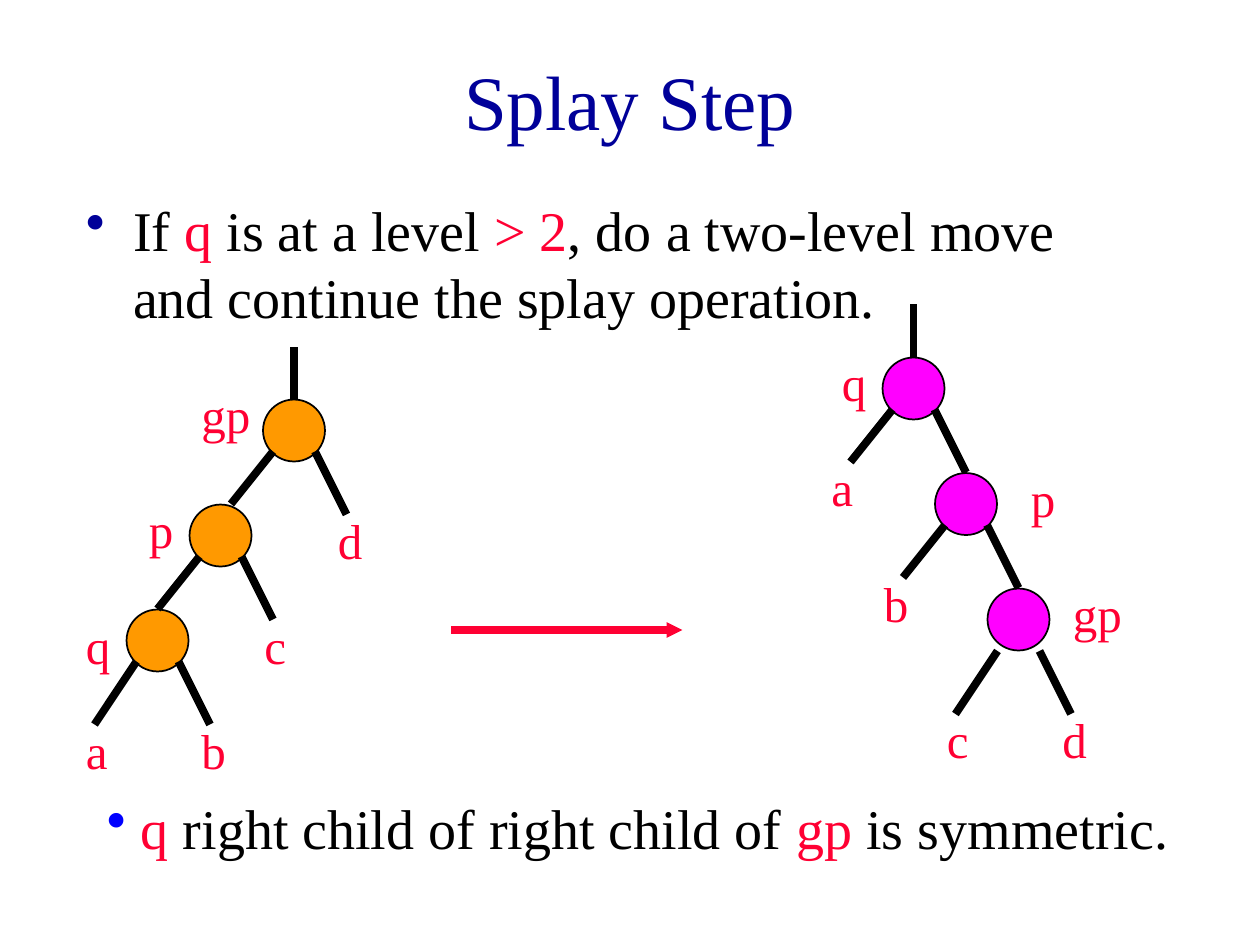
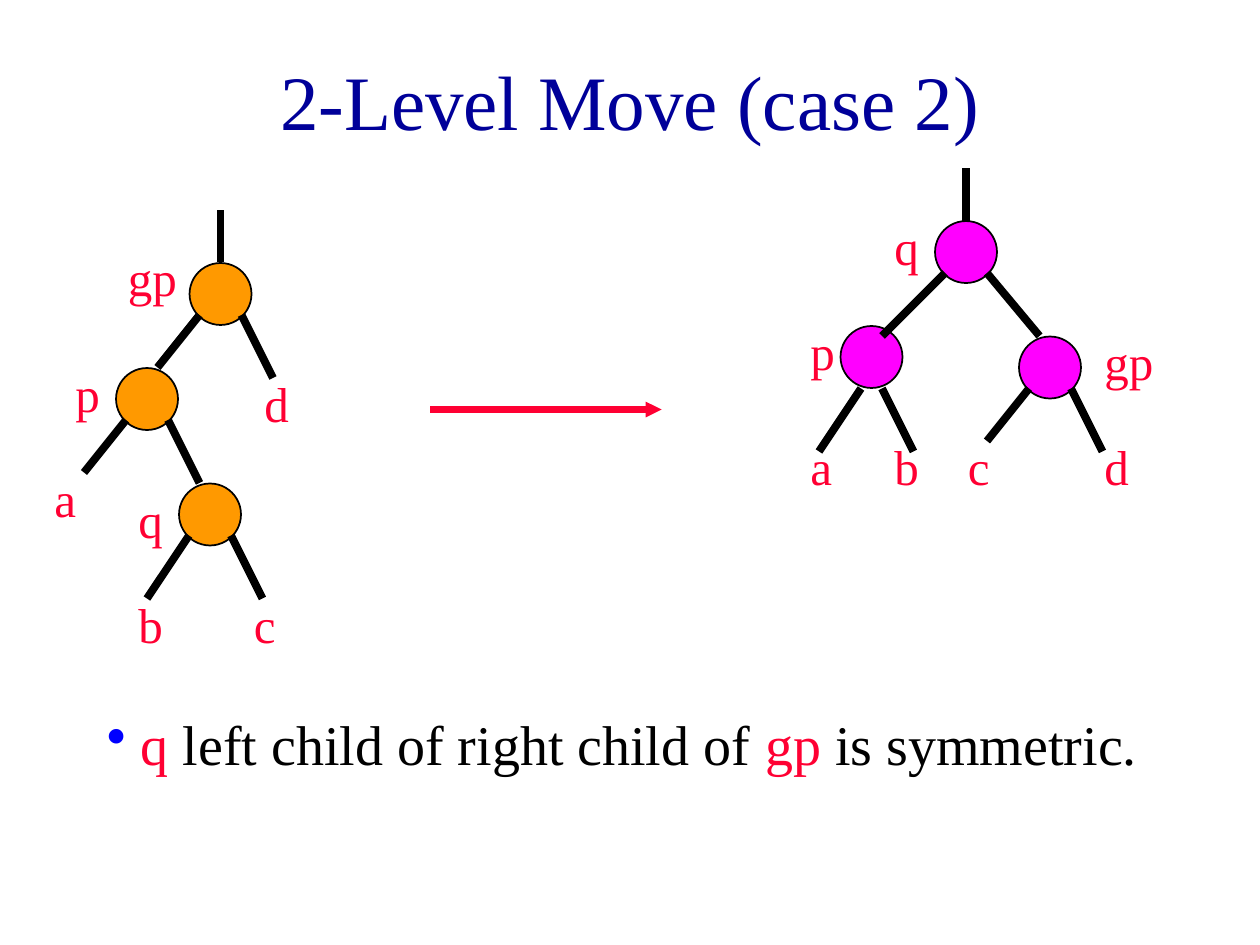
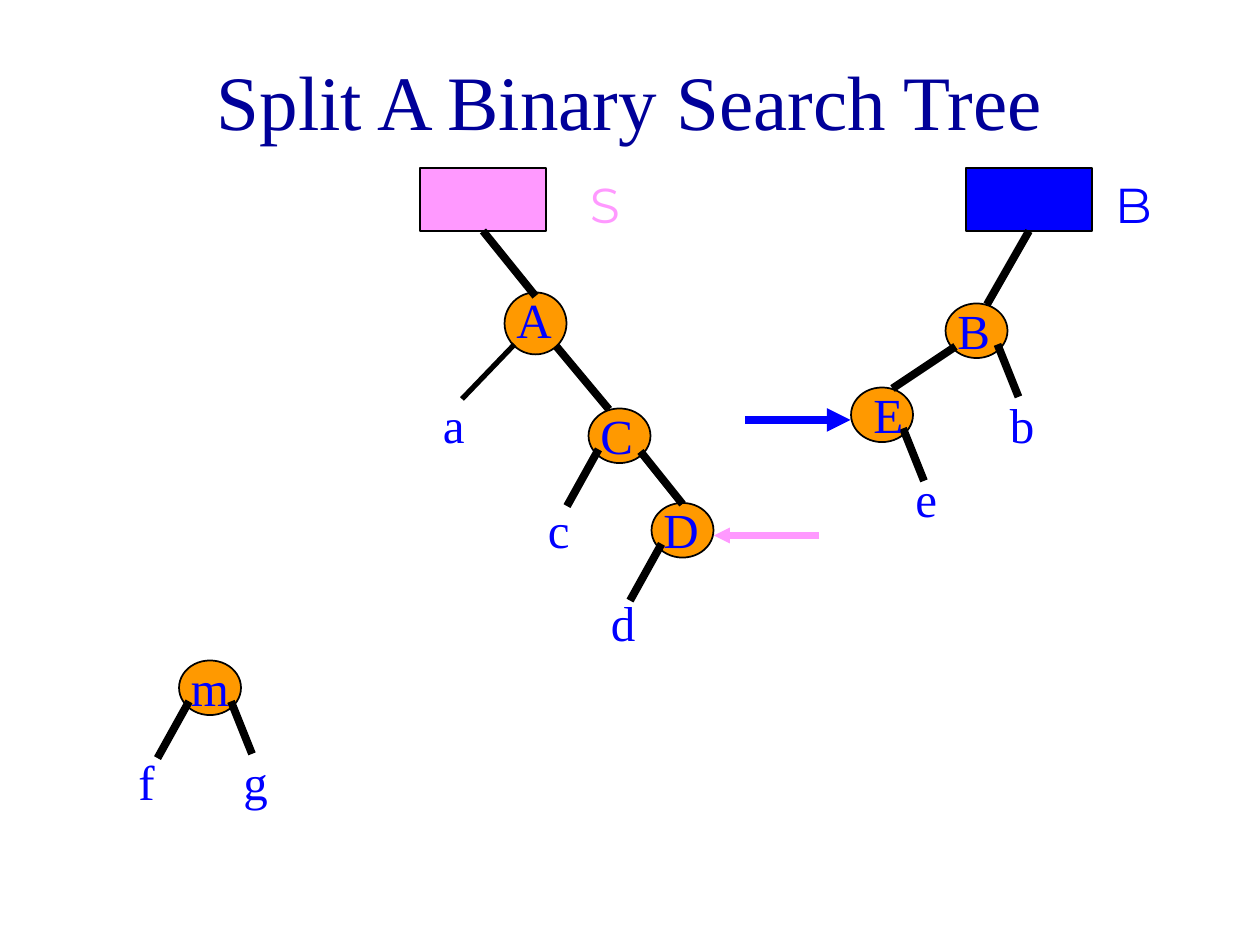
import dataclasses

import lxml.etree
import pptx
import pptx.dml.color
import pptx.enum.shapes
import pptx.enum.text
import pptx.oxml.ns
import pptx.util


@dataclasses.dataclass(frozen=True)
class Theme:
    navy: str = "000099"
    blue: str = "0000FF"
    red: str = "FF0033"
    pink: str = "FF99FF"
    orange: str = "FF9900"
    magenta: str = "FF00FF"
    black: str = "000000"
    white: str = "FFFFFF"
    serif: str = "Times New Roman"
    sans: str = "Montserrat"
    title_size: int = 44
    body_size: int = 32
    label_size: int = 28
    edge_width: float = 4.5
    thin_edge_width: float = 3
    outline_width: float = 1


THEME = Theme()
STEPS_PER_CM = 12 / 2.54
NODE_SIZE = 5.9
FLAT_NODE_HEIGHT = 5.2

LEFT = (-2, 2, -6, 7)
LEFT_LEAF = (-2, 2, -6, 8)
RIGHT = (2, 2, 5, 8)
LEFT_LOW = (-2, 3, -6, 9)
RIGHT_LOW = (2, 3, 5, 9)
FLAT_LEFT = (-2, 1.3, -5, 6.7)
FLAT_RIGHT = (2, 1.3, 4, 6.3)


def grid(steps):
    return pptx.util.Cm(steps / STEPS_PER_CM)


def rgb(color):
    return pptx.dml.color.RGBColor.from_string(color)


def add_xml(parent, tag, **attributes):
    return lxml.etree.SubElement(parent, pptx.oxml.ns.qn(tag), attributes)


def add_page(deck, title):
    page = deck.slides.add_slide(deck.slide_layouts[6])
    page.background.fill.solid()
    page.background.fill.fore_color.rgb = rgb(THEME.white)
    box = add_text(page, (9, 2, 102, 15), [(title, THEME.navy)], THEME.title_size)
    box.text_frame.vertical_anchor = pptx.enum.text.MSO_ANCHOR.MIDDLE
    box.text_frame.paragraphs[0].alignment = pptx.enum.text.PP_ALIGN.CENTER
    return page


def add_text(page, area, spans, size, font=THEME.serif):
    box = page.shapes.add_textbox(*map(grid, area))
    box.text_frame.word_wrap = True
    para = box.text_frame.paragraphs[0]
    para.font.size = pptx.util.Pt(size)
    para.font.name = font
    for text, color in spans:
        span = para.add_run()
        span.text = text
        span.font.color.rgb = rgb(color)
    return box


def add_bullet(page, area, spans, bullet_color, hanging=0):
    box = add_text(page, area, spans, THEME.body_size)
    properties = box.text_frame.paragraphs[0]._p.get_or_add_pPr()
    properties.set("marL", str(grid(hanging)))
    properties.set("indent", str(-grid(hanging)))
    color = lxml.etree.Element(pptx.oxml.ns.qn("a:buClr"))
    add_xml(color, "a:srgbClr", val=bullet_color)
    properties.insert(0, color)
    character = lxml.etree.Element(pptx.oxml.ns.qn("a:buChar"), char="•")
    properties.insert(1, character)


def add_symmetry_note(page, top, side):
    spans = [
        (" q", THEME.red),
        (f" {side} child of right child of ", THEME.black),
        ("gp", THEME.red),
        (" is symmetric.", THEME.black),
    ]
    add_bullet(page, (9, top, 111, 7.5), spans, THEME.blue)


def add_outlined(page, kind, area, fill):
    shape = page.shapes.add_shape(kind, *map(grid, area))
    shape.shadow.inherit = False
    shape.fill.solid()
    shape.fill.fore_color.rgb = rgb(fill)
    shape.line.color.rgb = rgb(THEME.black)
    shape.line.width = pptx.util.Pt(THEME.outline_width)
    return shape


def add_node(page, x, y, fill, height=NODE_SIZE):
    area = (x - NODE_SIZE / 2, y - height / 2, NODE_SIZE, height)
    add_outlined(page, pptx.enum.shapes.MSO_SHAPE.OVAL, area, fill)


def add_edge(page, ends, color=THEME.black, width=THEME.edge_width):
    edge = page.shapes.add_connector(
        pptx.enum.shapes.MSO_CONNECTOR.STRAIGHT, *map(grid, ends)
    )
    edge.line.color.rgb = rgb(color)
    edge.line.width = pptx.util.Pt(width)
    add_xml(edge._element.spPr, "a:effectLst")
    return edge


def add_arrow(page, ends, color, head="sm"):
    arrow = add_edge(page, ends, color)
    line = arrow.line._get_or_add_ln()
    add_xml(line, "a:tailEnd", type="triangle", w=head, len=head)


def add_branch(page, x, y, branch, width=THEME.edge_width):
    x1, y1, x2, y2 = branch
    add_edge(page, (x + x1, y + y1, x + x2, y + y2), width=width)


def add_label(page, text, place, width, color):
    add_text(page, (*place, width, 6.8), [(text, color)], THEME.label_size)


def add_splay_tree(page, fill, nodes, labels):
    for x, y, *_ in nodes:
        add_node(page, x, y, fill)
    root_x, root_y, *_ = nodes[0]
    add_edge(page, (root_x, root_y - 3, root_x, root_y - 8))
    for x, y, *branches in nodes:
        for branch in branches:
            add_branch(page, x, y, branch)
    for text, place in labels.items():
        add_label(page, text, place, 4 if text in "pq" else 8, THEME.red)


def add_root_box(page, left, name, name_left, color, root):
    box = add_outlined(
        page, pptx.enum.shapes.MSO_SHAPE.RECTANGLE, (left, 16, 12, 6), color
    )
    edge = add_edge(page, (left + 6, 22, *root))
    edge.begin_connect(box, 2)
    add_text(
        page, (name_left, 16, 11, 6.8), [(name, color)], THEME.label_size, THEME.sans
    )


def build_splay_step(deck):
    page = add_page(deck, "Splay Step")
    spans = [
        ("If ", THEME.black),
        ("q", THEME.red),
        (" is at a level ", THEME.black),
        ("> 2", THEME.red),
        (", do a two-level move and continue the splay operation.", THEME.black),
    ]
    add_bullet(page, (7, 18, 102, 15), spans, THEME.navy, hanging=4.5)
    add_arrow(page, (43, 60, 65, 60), THEME.red)
    add_symmetry_note(page, 75, "right")
    add_splay_tree(
        page,
        THEME.orange,
        [(28, 41, LEFT, RIGHT), (21, 51, LEFT, RIGHT), (15, 61, LEFT_LEAF, RIGHT)],
        {"gp": (18, 36), "p": (13, 47), "q": (7, 58), "a": (7, 68),
         "b": (18, 68), "c": (24, 58), "d": (31, 48)},
    )
    add_splay_tree(
        page,
        THEME.magenta,
        [(87, 37, LEFT, RIGHT), (92, 48, LEFT, RIGHT), (97, 59, LEFT_LOW, RIGHT_LOW)],
        {"q": (79, 33), "p": (97, 44), "gp": (101, 55), "a": (78, 43),
         "b": (83, 54), "c": (89, 67), "d": (100, 67)},
    )


def build_two_level_move(deck):
    page = add_page(deck, "2-Level Move (case 2)")
    add_arrow(page, (41, 39, 63, 39), THEME.red)
    add_symmetry_note(page, 67, "left")
    add_splay_tree(
        page,
        THEME.orange,
        [(21, 28, LEFT, RIGHT), (14, 38, LEFT, RIGHT), (20, 49, LEFT_LEAF, RIGHT)],
        {"gp": (11, 23), "p": (6, 34), "q": (12, 46), "a": (4, 44),
         "b": (12, 56), "c": (23, 56), "d": (24, 35)},
    )
    add_splay_tree(
        page,
        THEME.magenta,
        [
            (92, 24, (-2, 2, -8, 8), (2, 2, 7, 8)),
            (83, 34, (-1, 3, -5, 9), (1, 3, 4, 9)),
            (100, 35, LEFT, RIGHT),
        ],
        {"q": (84, 20), "p": (76, 30), "gp": (104, 31), "a": (76, 41),
         "b": (84, 41), "c": (91, 41), "d": (104, 41)},
    )


def build_split(deck):
    page = add_page(deck, "Split A Binary Search Tree")
    add_node(page, 51, 30.8, THEME.orange)
    nodes = [
        (93, 31.5, (-2, 1.5, -8, 5.5), FLAT_RIGHT),
        (59, 41.5, FLAT_LEFT, (2, 1.5, 6, 6.5)),
        (65, 50.5, FLAT_LEFT),
        (84, 39.5, FLAT_RIGHT),
        (20, 65.5, FLAT_LEFT, FLAT_RIGHT),
    ]
    for x, y, *_ in nodes:
        add_node(page, x, y, THEME.orange, FLAT_NODE_HEIGHT)
    add_branch(page, 51, 30.8, (-2, 2, -7, 7.2), THEME.thin_edge_width)
    add_branch(page, 51, 30.8, (2, 2.2, 7, 8.2))
    for x, y, *branches in nodes:
        for branch in branches:
            add_branch(page, x, y, branch)
    add_root_box(page, 40, "S", 55, THEME.pink, (51, 28.2))
    add_root_box(page, 92, "B", 105, THEME.blue, (94, 29))
    add_arrow(page, (78, 51, 68, 51), THEME.pink)
    add_arrow(page, (71, 40, 81, 40), THEME.blue, "med")
    labels = {
        "A": (48, 27), "B": (90, 28), "C": (56, 38), "D": (62, 47),
        "E": (82, 36), "m": (17, 62), "a": (41, 37), "b": (95, 37),
        "c": (51, 47), "d": (57, 55.8), "e": (86, 44), "f": (12, 71),
        "g": (22, 71),
    }
    for text, place in labels.items():
        add_label(page, text, place, 6, THEME.blue)


def main():
    deck = pptx.Presentation()
    deck.slide_width = pptx.util.Cm(25.4)
    deck.slide_height = pptx.util.Cm(19.05)
    build_splay_step(deck)
    build_two_level_move(deck)
    build_split(deck)
    deck.save("out.pptx")


if __name__ == "__main__":
    main()
